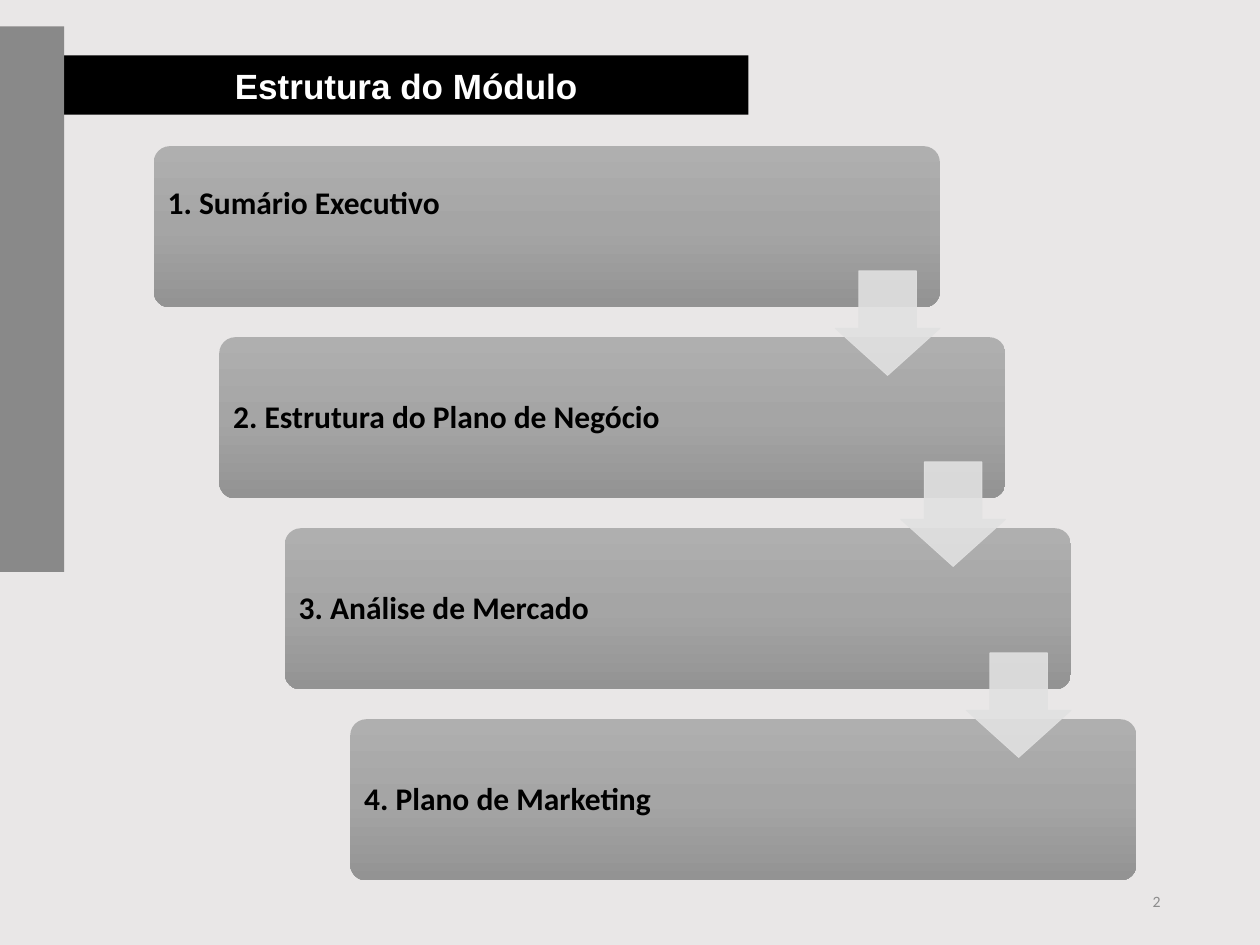
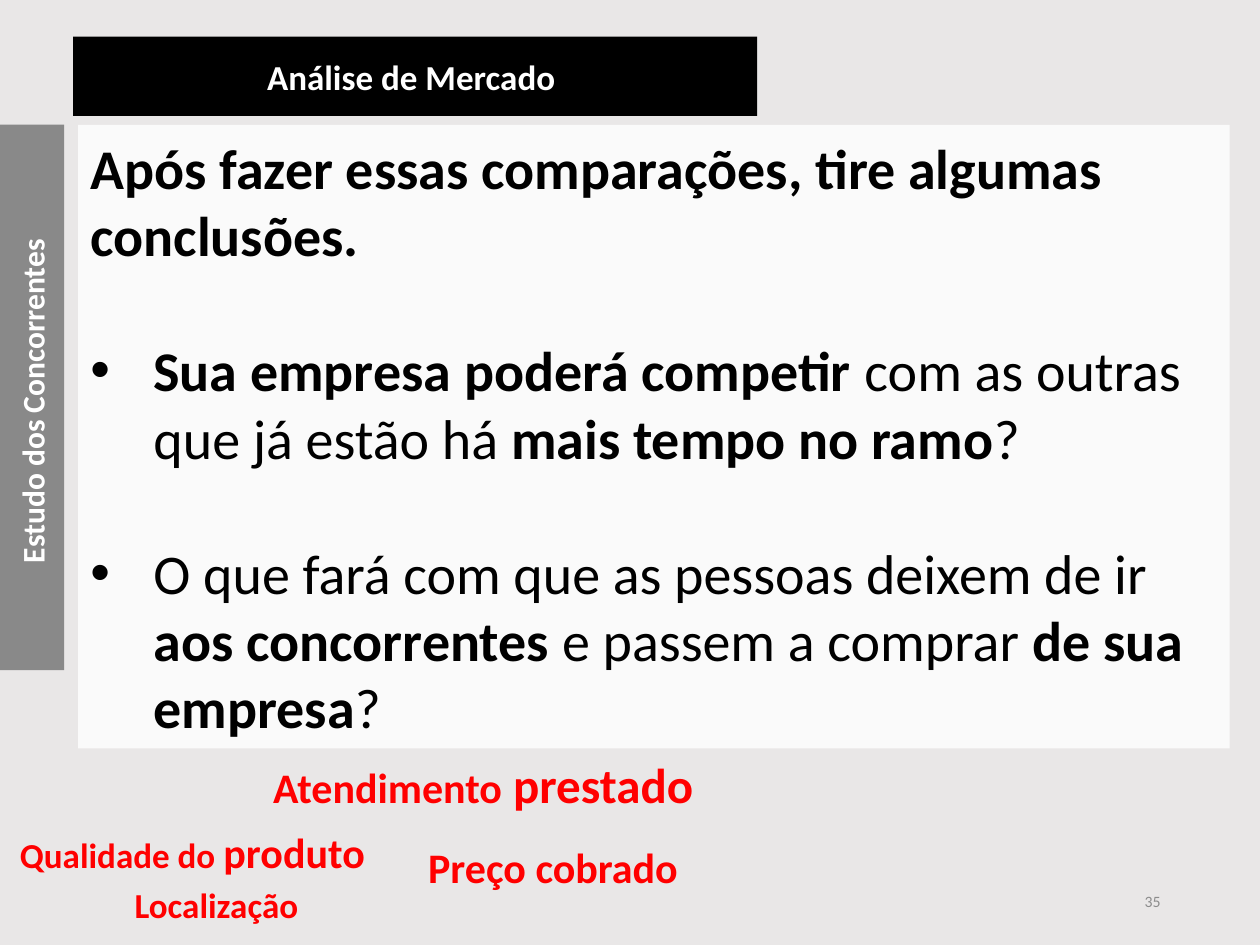
from copy import deepcopy
from pptx import Presentation
from pptx.dml.color import RGBColor
from pptx.enum.shapes import MSO_SHAPE
from pptx.enum.text import MSO_ANCHOR, MSO_AUTO_SIZE, PP_ALIGN
from pptx.oxml.ns import qn
from pptx.util import Inches, Pt
from lxml.etree import SubElement

# Content
STEPS = [
    "1. Sumário Executivo",
    "2. Estrutura do Plano de Negócio",
    "3. Análise de Mercado",
    "4. Plano de Marketing",
]
LEAD = "Após fazer essas comparações, tire algumas conclusões."
POINTS = [  # runs of (text, bold)
    [("Sua empresa poderá competir", True),
     (" com as outras que já estão há ", False),
     ("mais tempo no ramo", True), ("?", False)],
    [("O que fará com que as pessoas deixem de ir ", False),
     ("aos concorrentes ", True), ("e passem a comprar ", False),
     ("de sua empresa", True), ("?", False)],
]
FACTORS = [  # box, wrap, runs of (text, size)
    ((2.07, 5.94, 3.57, 0.57), False, [("Atendimento", 24), (" prestado", 28)]),
    ((3.3, 6.63, 2.2, 0.5), False, [("Preço cobrado", 24)]),
    ((0.06, 6.51, 3.48, 0.5), True, [("Qualidade do ", 20), ("produto", 24)]),
    ((0.97, 6.96, 1.58, 0.44), False, [("Localização", 20)]),
]

# Style
COLORS = {
    "back": "E9E7E7", "band": "7C7C7C", "bar": "000000", "panel": "FAFAFA",
    "arrow": "E1E1E1", "white": "FFFFFF", "black": "000000",
    "red": "FF0000", "page": "8C8C8C",
}
SHADES = [(0, "AFAFAF"), (50, "A5A5A5"), (100, "939393")]
FONT = "Calibri"


def rgb(name):
    return RGBColor.from_string(COLORS[name])


def inch(box):
    return [Inches(v) for v in box]


def style(para, size, color, bold=None, font=FONT):
    para.font.name = font
    para.font.size = Pt(size)
    para.font.bold = bold
    para.font.color.rgb = rgb(color)


def fade(fill_part, percent):
    """Set the opacity of every colour inside an XML part."""
    for clr in fill_part.iter(qn("a:srgbClr")):
        SubElement(clr, qn("a:alpha")).set("val", str(percent * 1000))


def add_form(slide, kind, box, color=None):
    form = slide.shapes.add_shape(kind, *inch(box))
    form.shadow.inherit = False
    form.line.fill.background()
    if color:
        form.fill.solid()
        form.fill.fore_color.rgb = rgb(color)
    return form


def add_text(slide, box, anchor=MSO_ANCHOR.TOP, wrap=True):
    frame = slide.shapes.add_textbox(*inch(box)).text_frame
    frame.word_wrap = wrap
    frame.vertical_anchor = anchor
    return frame


# Parts that both slides share
def add_slide(prs, title, bar, font, band_top, page, side=""):
    slide = prs.slides.add_slide(prs.slide_layouts[5])

    band = add_form(slide, MSO_SHAPE.RECTANGLE, (0, band_top, 0.51, 4.33), "band")
    fade(band.element.spPr, 88)
    if side:
        band.text_frame.text = side
        band.element.txBody.find(qn("a:bodyPr")).set("vert", "vert270")
        para = band.text_frame.paragraphs[0]
        para.alignment = PP_ALIGN.CENTER
        style(para, 18, "white", True)

    head = slide.shapes.title
    head.left, head.top, head.width, head.height = inch(bar)
    head.fill.solid()
    head.fill.fore_color.rgb = rgb("bar")
    frame = head.text_frame
    frame.text = title
    frame.auto_size = MSO_AUTO_SIZE.NONE
    frame.vertical_anchor = MSO_ANCHOR.MIDDLE
    frame.paragraphs[0].alignment = PP_ALIGN.CENTER
    style(frame.paragraphs[0], 20, "white", True, font)

    frame = add_text(slide, (7.06, 6.95, 2.25, 0.4), MSO_ANCHOR.MIDDLE)
    frame.text = page
    frame.paragraphs[0].alignment = PP_ALIGN.RIGHT
    style(frame.paragraphs[0], 9, "page")
    return slide


# Staircase of steps
def shade(form):
    form.fill.gradient()
    form.fill.gradient_angle = 270
    stops = form.element.spPr.find(qn("a:gradFill")).find(qn("a:gsLst"))
    for stop in list(stops):
        stops.remove(stop)
    for pos, color in SHADES:
        stop = SubElement(stops, qn("a:gs"))
        stop.set("pos", str(pos * 1000))
        SubElement(stop, qn("a:srgbClr")).set("val", color)


def add_steps(slide):
    wide, high, arrow = 6.24, 1.28, 0.83
    spots = [(1.22 + 0.52 * i, 1.16 + 1.516 * i) for i in range(len(STEPS))]
    for i, (text, (left, top)) in enumerate(zip(STEPS, spots)):
        form = add_form(slide, MSO_SHAPE.ROUNDED_RECTANGLE, (left, top, wide, high))
        form.adjustments[0] = 0.1
        shade(form)
        frame = add_text(slide, (left + 0.04, top + 0.04, 4.81, 1.21), MSO_ANCHOR.MIDDLE)
        frame.margin_left = frame.margin_right = frame.margin_top = Inches(0.07)
        # The first label sits above the middle
        frame.margin_bottom = Inches(0.07 if i else 0.43)
        frame.text = text
        frame.paragraphs[0].line_spacing = 0.9
        style(frame.paragraphs[0], 18, "black", True)

    for left, top in spots[:-1]:
        form = add_form(slide, MSO_SHAPE.DOWN_ARROW,
                        (left + wide - arrow, top + 0.99, arrow, arrow), "arrow")
        form.adjustments[0], form.adjustments[1] = 0.55, 0.45
        form.line.color.rgb = rgb("arrow")
        form.line.width = Pt(0.5)
        fade(form.element.spPr, 90)


# Panel with questions
def add_panel(slide):
    form = add_form(slide, MSO_SHAPE.RECTANGLE, (0.62, 0.99, 9.14, 4.95), "panel")
    frame = form.text_frame
    frame.word_wrap = True
    frame.vertical_anchor = MSO_ANCHOR.MIDDLE
    frame.text = LEAD
    frame.paragraphs[0].alignment = PP_ALIGN.LEFT
    style(frame.paragraphs[0], 32, "black", True)
    for point in POINTS:
        para = frame.add_paragraph()
        para.alignment = PP_ALIGN.LEFT
        para.space_before = Pt(39)
        props = para._p.get_or_add_pPr()
        props.set("marL", str(Inches(0.5)))
        props.set("indent", str(-Inches(0.5)))
        SubElement(props, qn("a:buFont")).set("typeface", "Arial")
        SubElement(props, qn("a:buChar")).set("char", "•")
        style(para, 32, "black")
        for text, bold in point:
            run = para.add_run()
            run.text = text
            run.font.bold = bold


def add_factors(slide):
    for box, wrap, runs in FACTORS:
        frame = add_text(slide, box, wrap=wrap)
        frame.auto_size = MSO_AUTO_SIZE.SHAPE_TO_FIT_TEXT
        para = frame.paragraphs[0]
        style(para, runs[0][1], "red", True)
        for text, size in runs:
            run = para.add_run()
            run.text = text
            run.font.size = Pt(size)


def main():
    prs = Presentation()
    prs.slide_width, prs.slide_height = Inches(10), Inches(7.5)
    back = prs.slide_master.background.fill
    back.solid()
    back.fore_color.rgb = rgb("back")

    add_steps(add_slide(prs, "Estrutura do Módulo", (0.51, 0.44, 5.43, 0.47),
                        "Arial", 0.21, "2"))
    market = add_slide(prs, "Análise de Mercado ", (0.58, 0.29, 5.43, 0.63),
                       FONT, 0.99, "35", "Estudo dos Concorrentes ")
    add_panel(market)
    add_factors(market)
    prs.save("out.pptx")


if __name__ == "__main__":
    main()
